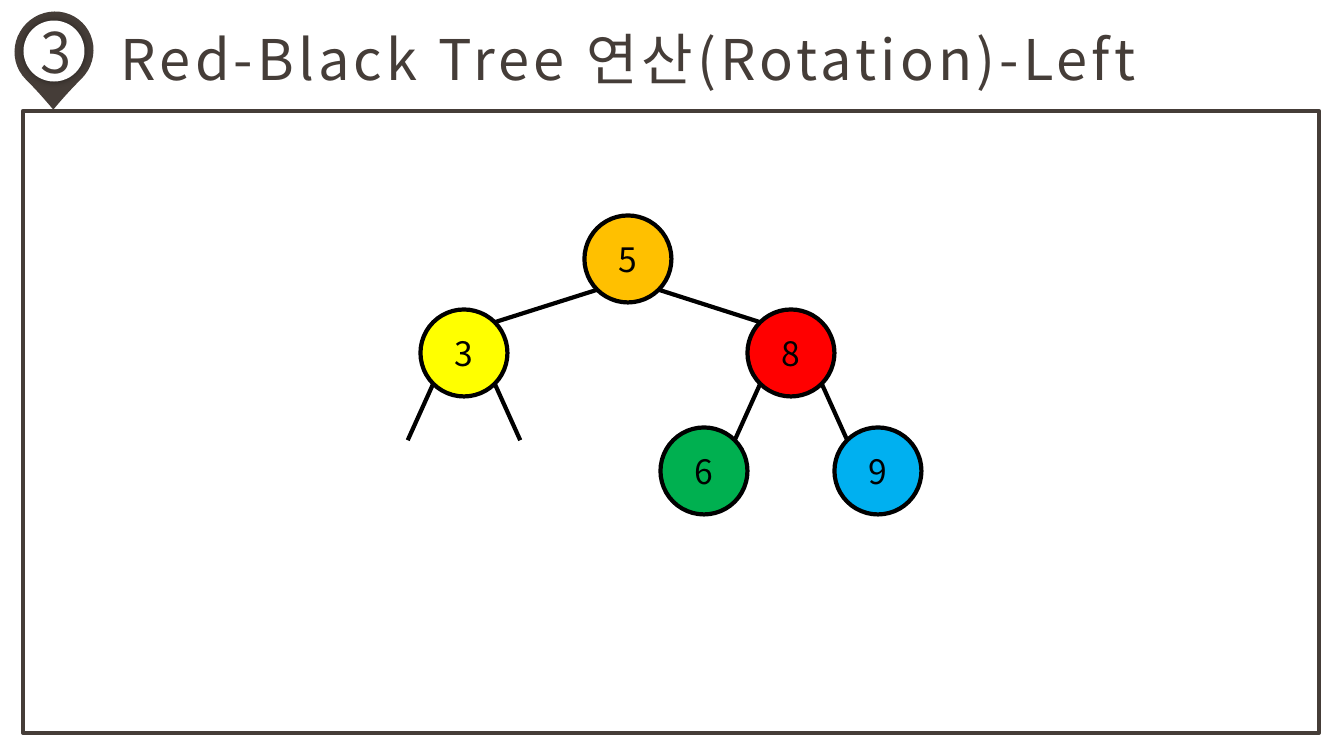
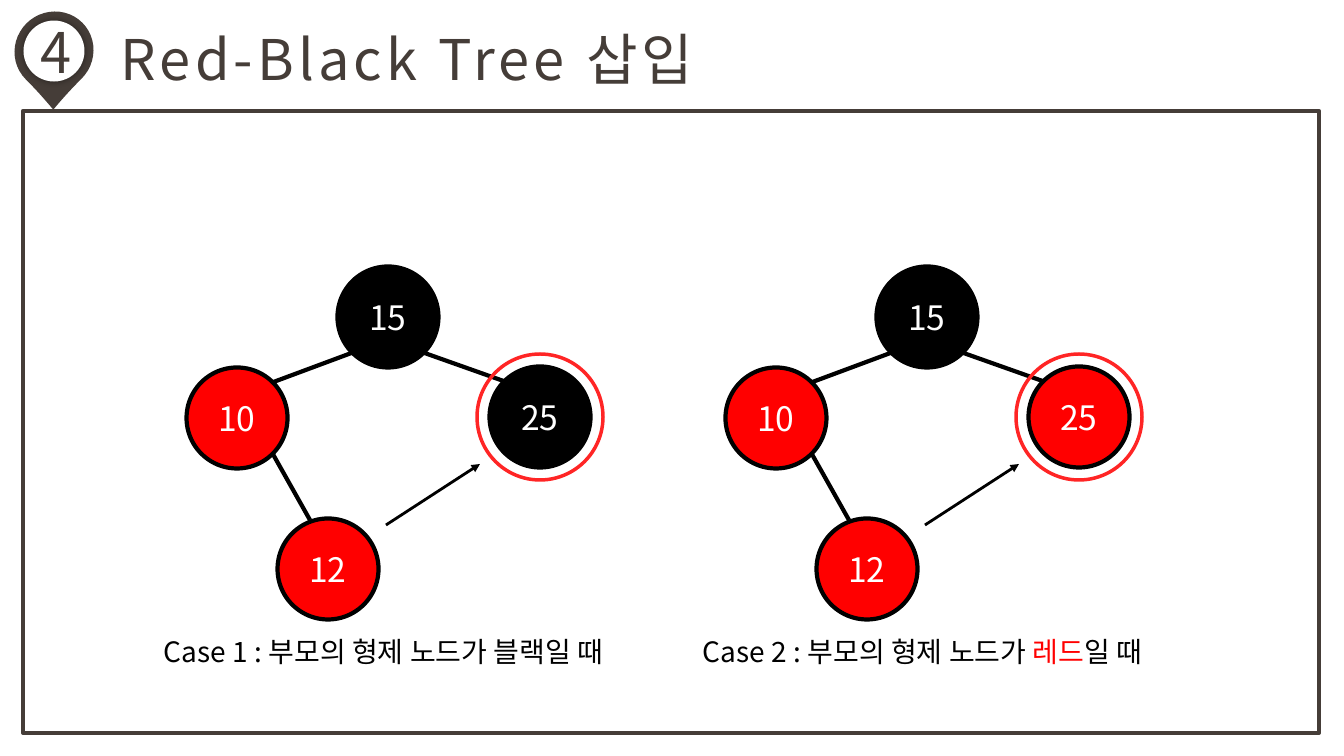
from lxml import etree
from pptx import Presentation
from pptx.dml.color import RGBColor
from pptx.enum.shapes import MSO_CONNECTOR, MSO_SHAPE
from pptx.enum.text import MSO_ANCHOR, PP_ALIGN
from pptx.oxml.ns import qn
from pptx.util import Emu, Pt

STRAIGHT = MSO_CONNECTOR.STRAIGHT
OVAL, RECTANGLE, TEARDROP = MSO_SHAPE.OVAL, MSO_SHAPE.RECTANGLE, MSO_SHAPE.TEAR
LEFT, CENTER, MIDDLE = PP_ALIGN.LEFT, PP_ALIGN.CENTER, MSO_ANCHOR.MIDDLE

FONT = "Noto Sans CJK KR"
BROWN, BLACK, WHITE = "453D38", "000000", "FFFFFF"
RED, RING_RED, YELLOW = "FF0000", "FF2525", "FFFF00"
ORANGE, GREEN, BLUE = "FFC000", "00B050", "00B0F0"
EMU_PER_PIXEL = 914400 / 100.8
DIAGONAL = 0.5 ** 0.5


def px(length):
    return Emu(round(length * EMU_PER_PIXEL))


def rgb(value):
    return RGBColor.from_string(value)


def write(frame, text, size=24, color=BLACK, align=LEFT, spacing=0, wrap=True):
    """Write a string, or a list of (string, colour) runs."""
    frame.word_wrap = wrap
    paragraph = frame.paragraphs[0]
    paragraph.alignment = align
    runs = [(text, color)] if isinstance(text, str) else text
    for words, run_color in runs:
        run = paragraph.add_run()
        run.text = words
        run.font.size = Pt(size)
        run.font.name = FONT
        run.font.color.rgb = rgb(run_color)
        properties = run.font._element
        etree.SubElement(properties, qn("a:ea"), typeface=FONT)
        if spacing:
            properties.set("spc", str(spacing * 100))


class Deck:
    def __init__(self):
        self.presentation = Presentation()
        self.presentation.slide_width = px(1344)
        self.presentation.slide_height = px(756)
        self.slide = None

    def shape(self, kind, left, top, width, height, fill=None, line=None, weight=3):
        shape = self.slide.shapes.add_shape(
            kind, px(left), px(top), px(width), px(height))
        shape.shadow.inherit = False
        if fill:
            shape.fill.solid()
            shape.fill.fore_color.rgb = rgb(fill)
        else:
            shape.fill.background()
        if line:
            shape.line.color.rgb = rgb(line)
            shape.line.width = Pt(weight)
        else:
            shape.line.fill.background()
        return shape

    def circle(self, center, diameter, **style):
        x, y = center
        return self.shape(OVAL, x - diameter / 2, y - diameter / 2,
                          diameter, diameter, **style)

    def text(self, text, left, top, width, height, **style):
        box = self.slide.shapes.add_textbox(px(left), px(top), px(width), px(height))
        write(box.text_frame, text, **style)

    def line(self, start, end, weight=3, arrow=False):
        line = self.slide.shapes.add_connector(
            STRAIGHT, *[px(value) for value in (*start, *end)])
        line.line.color.rgb = rgb(BLACK)
        line.line.width = Pt(weight)
        etree.SubElement(line._element.spPr, qn("a:effectLst"))
        if arrow:
            etree.SubElement(line.line._get_or_add_ln(), qn("a:tailEnd"), type="triangle")

    def node(self, center, label, diameter, fill, color):
        circle = self.circle(center, diameter, fill=fill, line=BLACK)
        circle.text_frame.vertical_anchor = MIDDLE
        write(circle.text_frame, label, color=color, align=CENTER)

    def edge(self, parent, child, diameter, end=None):
        """Join the facing diagonal points of two nodes."""
        reach = diameter / 2 * DIAGONAL
        side = reach if child[0] > parent[0] else -reach
        self.line((parent[0] + side, parent[1] + reach),
                  end or (child[0] - side, child[1] - reach))

    def pin(self, number):
        drop = self.shape(TEARDROP, 14, 12, 80, 78, fill=BROWN)
        drop.adjustments[0] = 1.05
        drop.rotation = 135
        disc = self.circle((54, 51), 61, fill=WHITE)
        effects = disc._element.spPr.find(qn("a:effectLst"))
        shadow = etree.SubElement(effects, qn("a:outerShdw"),
                                  blurRad=str(Pt(5)), dist="0", dir="0")
        shade = etree.SubElement(shadow, qn("a:srgbClr"), val=BLACK)
        etree.SubElement(shade, qn("a:alpha"), val="40000")
        self.text(number, 27, 13, 59, 78, size=40, color=BROWN,
                  align=CENTER, spacing=3, wrap=False)

    def new_slide(self, number, title):
        self.slide = self.presentation.slides.add_slide(
            self.presentation.slide_layouts[6])
        self.shape(RECTANGLE, 23, 111, 1296, 622, line=BROWN)
        self.pin(number)
        self.text(title, 111, 20, 1207, 78, size=40, color=BROWN, spacing=3)


deck = Deck()

# Rotation: a tree with two open branches under node 3
deck.new_slide("3", "Red-Black Tree 연산(Rotation)-Left")
SMALL = 87
root, left, right = (628, 259), (464, 353), (791, 353)
grandchildren = [[(x - SMALL, 471), (x + SMALL, 471)] for x in (left[0], right[0])]
for child, pair in zip((left, right), grandchildren):
    deck.edge(root, child, SMALL)
    for grandchild in pair:
        deck.edge(child, grandchild, SMALL)
for center, label, fill in ((root, "5", ORANGE), (left, "3", YELLOW),
                            (right, "8", RED), (grandchildren[1][0], "6", GREEN),
                            (grandchildren[1][1], "9", BLUE)):
    deck.node(center, label, SMALL, fill, BLACK)

# Insertion: the same tree for both colours of the uncle node
deck.new_slide("4", "Red-Black Tree 삽입")
LARGE = 101
CASE_STEP = 539
cases = (
    (BLACK, [("Case 1 : 부모의 형제 노드가 블랙일 때", BLACK)]),
    (RED, [("Case 2 : 부모의 형제 노드가 ", BLACK), ("레드", RED), ("일 때", BLACK)]),
)
for index, (uncle_fill, caption) in enumerate(cases):
    x = index * CASE_STEP
    grandparent, parent = (x + 388, 317), (x + 237, 418)
    uncle, inserted = (x + 540, 417), (x + 328, 569)
    for center, label, fill in ((grandparent, "15", BLACK), (inserted, "12", RED),
                                (parent, "10", RED), (uncle, "25", uncle_fill)):
        deck.node(center, label, LARGE, fill, WHITE)
    deck.edge(grandparent, parent, LARGE)
    deck.edge(grandparent, uncle, LARGE)
    deck.edge(parent, inserted, LARGE, end=(x + 310, 520))
    deck.text(caption, x + 154, 630, 467, 44, size=20)
    deck.line((x + 386, 525), (x + 480, 464), weight=2, arrow=True)
    deck.circle(uncle, 126, line=RING_RED, weight=2.5)

deck.presentation.save("out.pptx")
